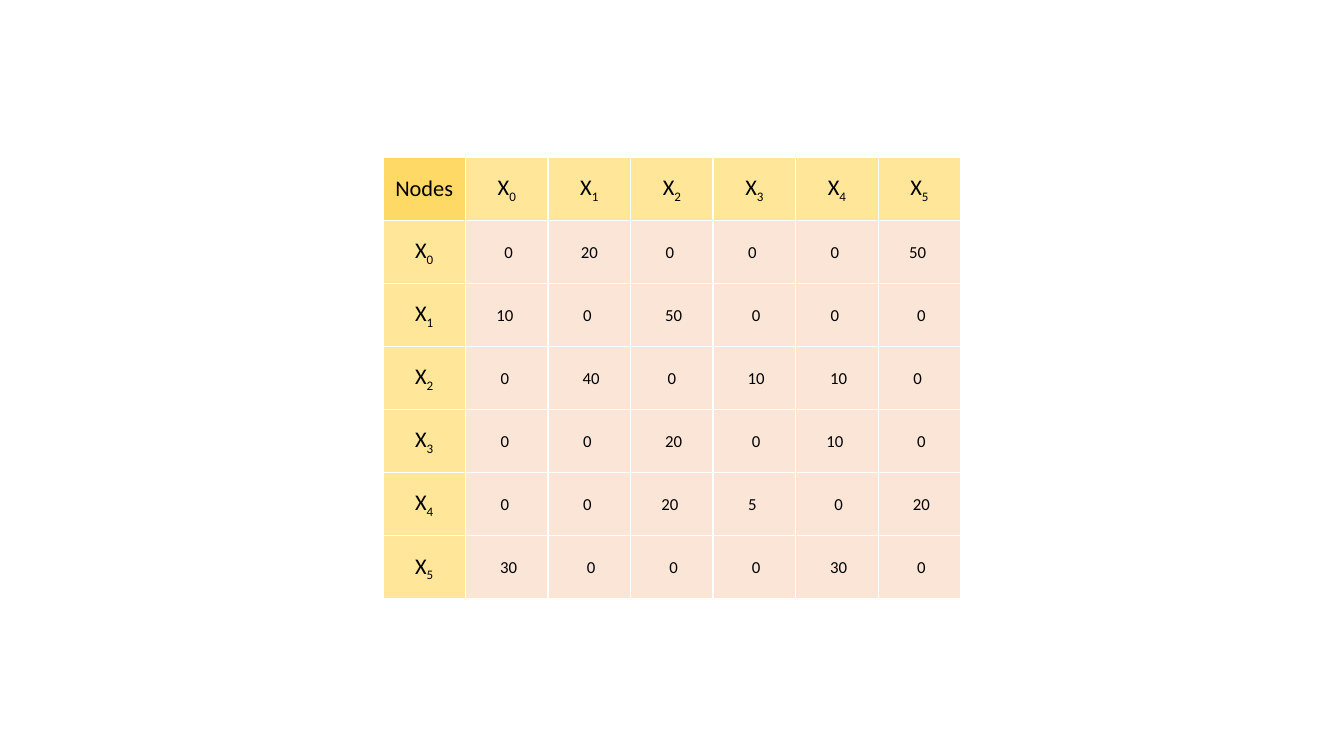
from lxml.etree import SubElement as Sub
from pptx import Presentation
from pptx.dml.color import RGBColor
from pptx.enum.text import MSO_ANCHOR as Anchor, PP_ALIGN as Align
from pptx.oxml.ns import qn
from pptx.util import Cm, Pt

GAP = chr(160)  # no-break space, marked "_" in the rows below
NODES = ["0", "1", "2", "3", "4", "5"]
COSTS = [
    "_0 20 0_ 0_ 0_ 50_",
    "10_ 0_ _50 _0 0_ _0",
    "0_ _40 0 _10 _10 0_",
    "0_ 0_ _20 _0 10_ _0",
    "0_ 0_ 20_ 5_ _0 _20",
    "_30 _0 _0 _0 _30 _0",
]


def color(code):
    return RGBColor.from_string(code)


class Deck:
    font, ink, line = "Calibri", "000000", "FFFFFF"
    corner, head, body = "FFD966", "FFE699", "FBE5D6"
    big, small = 16, 12

    def __init__(self):
        self.prs = Presentation()
        self.prs.slide_width, self.prs.slide_height = Cm(33.87), Cm(19.05)
        self.slide = self.prs.slides.add_slide(self.prs.slide_layouts[6])

    def grid(self, left, top, wide, high, count):
        frame = self.slide.shapes.add_table(
            count, count, Cm(left), Cm(top), Cm(wide * count), Cm(high * count))
        table = frame.table
        for col in table.columns:
            col.width = Cm(wide)
        for row in table.rows:
            row.height = Cm(high)
        return table

    def border(self, cell):
        props = cell._tc.get_or_add_tcPr()
        for side in ("lnL", "lnR", "lnT", "lnB"):
            edge = Sub(props, qn(f"a:{side}"), w=str(Pt(1)))
            Sub(Sub(edge, qn("a:solidFill")), qn("a:srgbClr"), val=self.line)

    def run(self, para, text, size, base=0):
        run = para.add_run()
        run.text = text
        run.font.name, run.font.size = self.font, Pt(size)
        run.font.bold = False
        run.font.color.rgb = color(self.ink)
        if base:
            run._r.get_or_add_rPr().set("baseline", str(base * 1000))

    def cell(self, cell, fill, text, size, sub=""):
        self.border(cell)
        cell.fill.solid()
        cell.fill.fore_color.rgb = color(fill)
        cell.vertical_anchor = Anchor.MIDDLE
        cell.margin_left = cell.margin_right = cell.margin_top = Cm(0.03)
        cell.margin_bottom = 0
        para = cell.text_frame.paragraphs[0]
        para.alignment = Align.CENTER
        self.run(para, text, size)
        if sub:
            self.run(para, sub, size, -25)


def main():
    deck = Deck()
    table = deck.grid(9.65, 3.96, 2.08, 1.59, len(NODES) + 1)

    # Heads of rows and columns
    deck.cell(table.cell(0, 0), deck.corner, "Nodes", deck.big)
    for i, node in enumerate(NODES, 1):
        for spot in ((0, i), (i, 0)):
            deck.cell(table.cell(*spot), deck.head, "X", deck.big, node)

    # Costs between nodes
    for r, row in enumerate(COSTS, 1):
        for c, cost in enumerate(row.split(), 1):
            deck.cell(table.cell(r, c), deck.body, cost.replace("_", GAP), deck.small)

    deck.prs.save("out.pptx")


if __name__ == "__main__":
    main()
